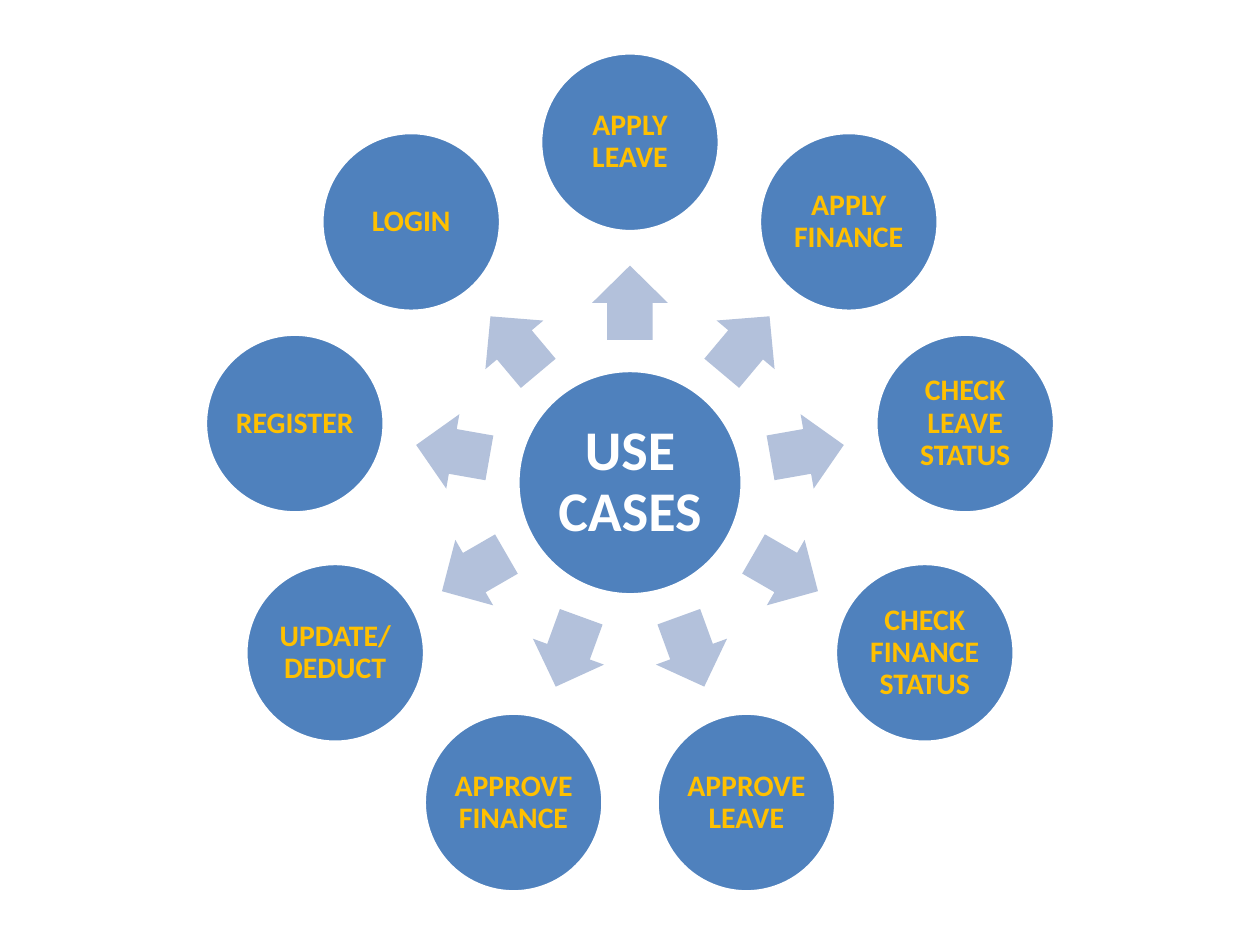
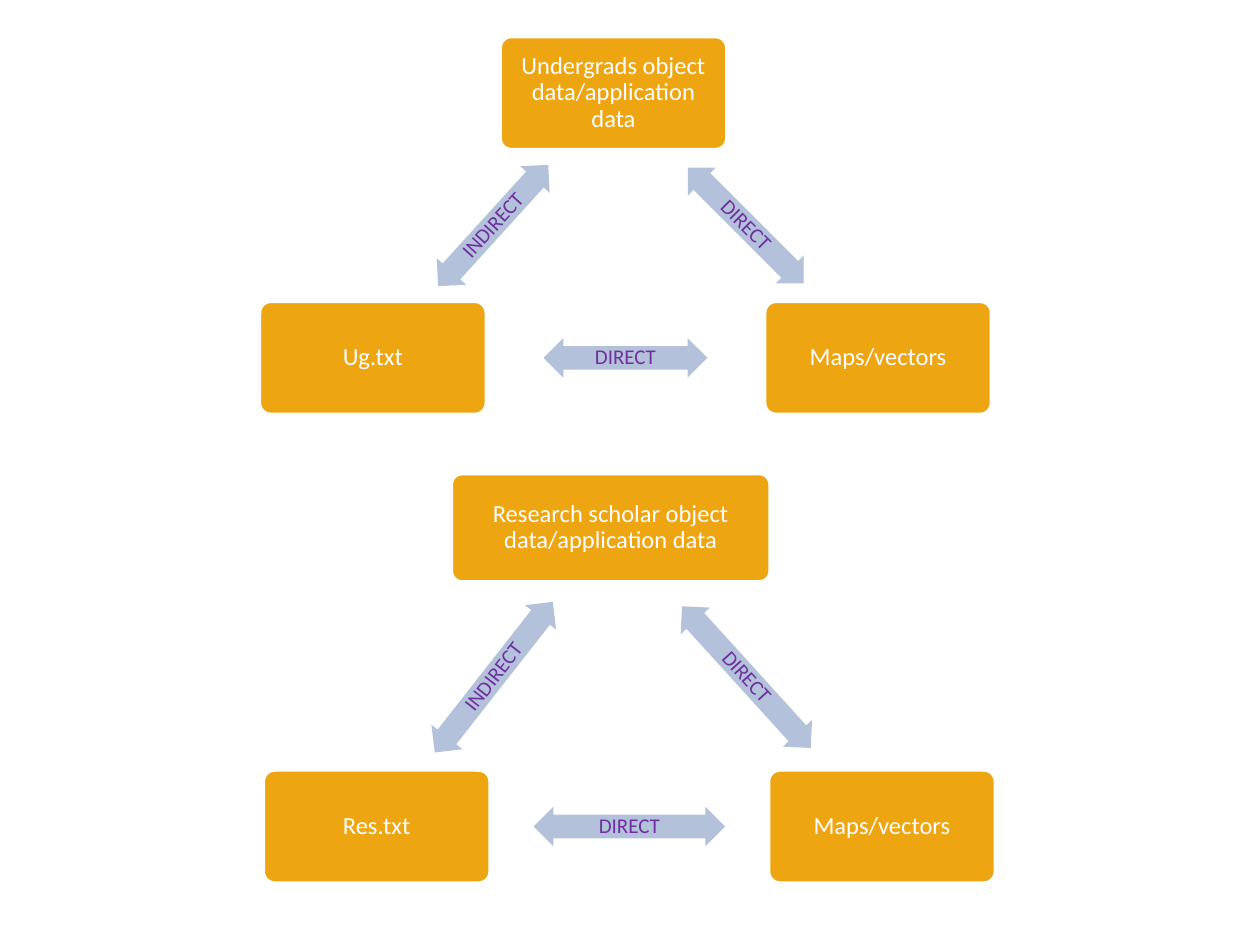
from math import atan2, cos, degrees, radians, sin

from pptx import Presentation
from pptx.dml.color import RGBColor
from pptx.enum.shapes import MSO_SHAPE
from pptx.enum.text import MSO_ANCHOR, PP_ALIGN
from pptx.util import Pt

BLUE = RGBColor(0x4F, 0x81, 0xBD)
PALE = RGBColor(0xB3, 0xC1, 0xDB)
GOLD = RGBColor(0xFF, 0xC0, 0x00)
AMBER = RGBColor(0xEE, 0xA5, 0x12)
PURPLE = RGBColor(0x70, 0x30, 0xA0)
WHITE = RGBColor(0xFF, 0xFF, 0xFF)

HUB = "USE CASES"
CASES = [
    "APPLY LEAVE", "APPLY FINANCE", "CHECK LEAVE STATUS",
    "CHECK FINANCE STATUS", "APPROVE LEAVE", "APPROVE FINANCE",
    "UPDATE/ DEDUCT", "REGISTER", "LOGIN",
]
# Each trio: boxes as (text, centre, size), then the length of its arrows
BOX = (129.6, 64.6)
TRIOS = [
    ({"top": ("Undergrads object data/application data", (350.6, 53.2), BOX),
      "right": ("Maps/vectors", (501.8, 204.5), BOX),
      "left": ("Ug.txt", (213.1, 204.5), BOX)}, 93.6),
    ({"top": ("Research scholar object data/application data",
              (349, 301.6), (182.2, 61.9)),
      "right": ("Maps/vectors", (504, 472.3), BOX),
      "left": ("Res.txt", (215.3, 472.3), BOX)}, 109.4),
]
LINKS = [("top", "right", "DIRECT"), ("left", "right", "DIRECT"),
         ("left", "top", "INDIRECT")]

CENTRE = (360, 275.8)
HUB_SIZE = (128.2, 128.2)
CASE_SIZE = (102.2, 102.2)
CASE_RING = 194.5
ARROW_SIZE = (42.5, 43.2)
ARROW_RING = 102.8
LINK_HIGH = 22.6

# Text styles: inset, then font values
HUB_TEXT = (2.9, {"size": Pt(32), "bold": True}, WHITE)
CASE_TEXT = (1.6, {"size": Pt(17), "bold": True}, GOLD)
BOX_TEXT = (4.2, {"size": Pt(14)}, WHITE)
LINK_TEXT = (0, {"size": Pt(12)}, PURPLE)


def draw(slide, kind, mid, size, fill, adj=(), turn=0, edge=False):
    """Add a preset shape centred on mid."""
    (x, y), (wide, high) = mid, size
    shape = slide.shapes.add_shape(
        kind, Pt(x - wide / 2), Pt(y - high / 2), Pt(wide), Pt(high))
    shape.shadow.inherit = False
    shape.rotation = turn % 360
    for i, part in enumerate(adj):
        shape.adjustments[i] = part
    shape.fill.solid()
    shape.fill.fore_color.rgb = fill
    if edge:
        shape.line.color.rgb = WHITE
        shape.line.width = Pt(2)
    else:
        shape.line.fill.background()
    return shape


def write(shape, text, style):
    inset, font, color = style
    frame = shape.text_frame
    frame.word_wrap = True
    frame.vertical_anchor = MSO_ANCHOR.MIDDLE
    for side in ("left", "top", "right", "bottom"):
        setattr(frame, f"margin_{side}", Pt(inset))
    para = frame.paragraphs[0]
    para.alignment = PP_ALIGN.CENTER
    para.line_spacing = 0.9
    run = para.add_run()
    run.text = text
    for name, value in {"name": "Calibri", **font}.items():
        setattr(run.font, name, value)
    run.font.color.rgb = color


def orbit(angle, ring):
    """Return the point at an angle, clockwise from the right, on a ring."""
    turn = radians(angle)
    return CENTRE[0] + ring * cos(turn), CENTRE[1] + ring * sin(turn)


def draw_wheel(slide):
    hub = draw(slide, MSO_SHAPE.OVAL, CENTRE, HUB_SIZE, BLUE, edge=True)
    write(hub, HUB, HUB_TEXT)
    for i, case in enumerate(CASES):
        angle = i * 360 / len(CASES) - 90
        draw(slide, MSO_SHAPE.RIGHT_ARROW, orbit(angle, ARROW_RING),
             ARROW_SIZE, PALE, (0.6, 0.5), angle)
        disc = draw(slide, MSO_SHAPE.OVAL, orbit(angle, CASE_RING),
                    CASE_SIZE, BLUE, edge=True)
        write(disc, case, CASE_TEXT)


def draw_trio(slide, boxes, length):
    for text, mid, size in boxes.values():
        box = draw(slide, MSO_SHAPE.ROUNDED_RECTANGLE, mid, size, AMBER,
                   (0.1,), edge=True)
        write(box, text, BOX_TEXT)
    for start, end, label in LINKS:
        (x1, y1), (x2, y2) = boxes[start][1], boxes[end][1]
        link = draw(slide, MSO_SHAPE.LEFT_RIGHT_ARROW,
                    ((x1 + x2) / 2, (y1 + y2) / 2), (length, LINK_HIGH),
                    PALE, (0.6, 0.5), degrees(atan2(y2 - y1, x2 - x1)))
        write(link, label, LINK_TEXT)


def main():
    deck = Presentation()
    deck.slide_width, deck.slide_height = Pt(720), Pt(540)
    blank = deck.slide_layouts[6]
    draw_wheel(deck.slides.add_slide(blank))
    slide = deck.slides.add_slide(blank)
    for boxes, length in TRIOS:
        draw_trio(slide, boxes, length)
    deck.save("out.pptx")


if __name__ == "__main__":
    main()
